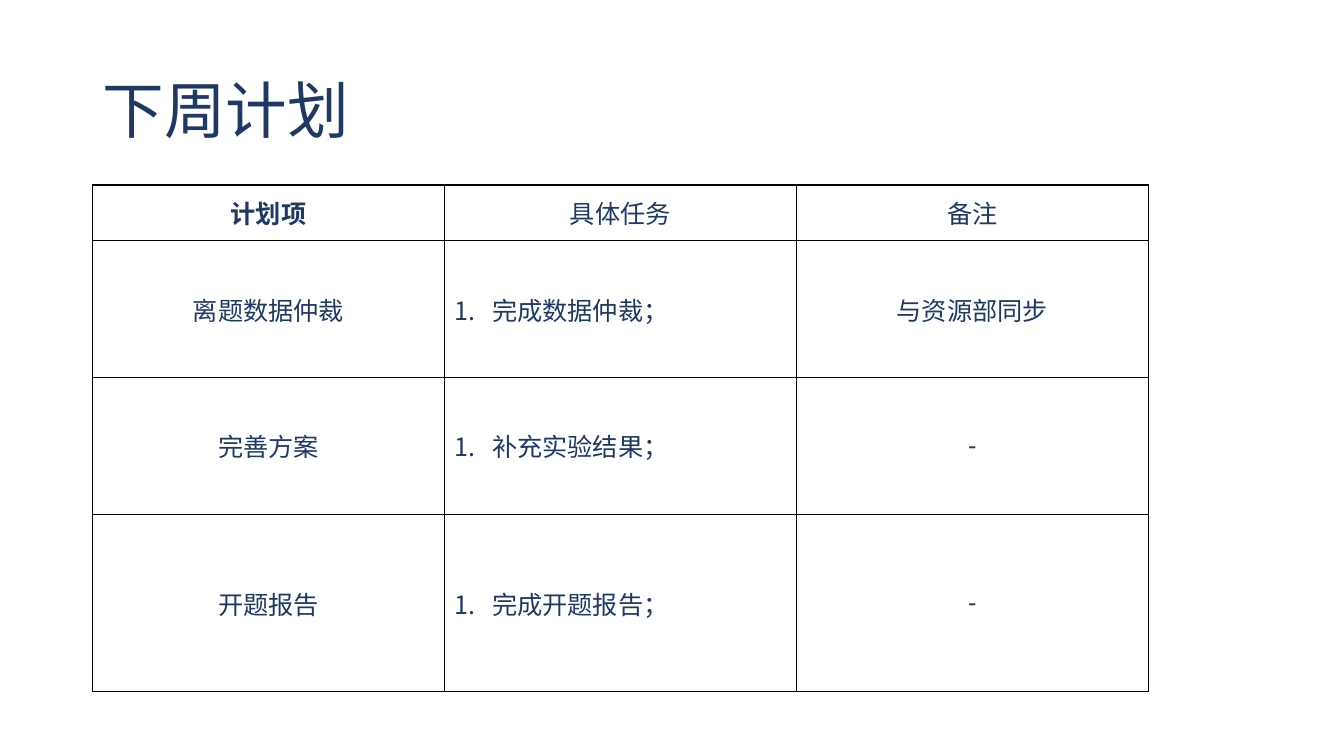
"""Build the slide with next week's plan as a table."""
from lxml import etree
from pptx import Presentation
from pptx.dml.color import RGBColor
from pptx.enum import text
from pptx.oxml import ns
from pptx.util import Cm, Pt

COLORS = {"navy": "203864", "border": "000000", "cell": "FFFFFF"}
ROWS = [
    ("计划项", "具体任务", "备注"),
    ("离题数据仲裁", "完成数据仲裁；", "与资源部同步"),
    ("完善方案", "补充实验结果；", "-"),
    ("开题报告", "完成开题报告；", "-"),
]
ROW_HEIGHTS = [1.41, 3.44, 3.45, 4.47]
COLUMN_WIDTH = 8.87
TASK_COLUMN = 1
NUMBER_INDENT = Cm(0.95)


def style_font(font, name, size, bold=False):
    font.name = name
    font.size = Pt(size)
    font.bold = bold
    font.color.rgb = RGBColor.from_string(COLORS["navy"])


def add_borders(cell):
    properties = cell._tc.get_or_add_tcPr()
    for side in ("lnL", "lnR", "lnT", "lnB"):
        line = etree.SubElement(properties, ns.qn(f"a:{side}"), w=str(Pt(1)))
        fill = etree.SubElement(line, ns.qn("a:solidFill"))
        etree.SubElement(fill, ns.qn("a:srgbClr"), val=COLORS["border"])


deck = Presentation()
deck.slide_width, deck.slide_height = Cm(33.87), Cm(19.05)
page = deck.slides.add_slide(deck.slide_layouts[5])

title = page.shapes.title
title.left, title.top, title.width, title.height = Cm(2.33), Cm(1.01), Cm(29.21), Cm(3.68)
title.text_frame.text = "下周计划"
title.text_frame.vertical_anchor = text.MSO_ANCHOR.MIDDLE
heading = title.text_frame.paragraphs[0]
heading.alignment = text.PP_ALIGN.LEFT
heading.line_spacing = 0.9
style_font(heading.font, "Times New Roman", 44)

plan = page.shapes.add_table(
    len(ROWS), len(ROWS[0]), Cm(2.33), Cm(4.66),
    Cm(COLUMN_WIDTH * len(ROWS[0])), Cm(sum(ROW_HEIGHTS)),
).table
plan.first_row = plan.horz_banding = False
for column in plan.columns:
    column.width = Cm(COLUMN_WIDTH)

for row, (labels, height) in enumerate(zip(ROWS, ROW_HEIGHTS)):
    plan.rows[row].height = Cm(height)
    for column, label in enumerate(labels):
        cell = plan.cell(row, column)
        cell.text = label
        cell.vertical_anchor = text.MSO_ANCHOR.MIDDLE
        add_borders(cell)
        cell.fill.solid()
        cell.fill.fore_color.rgb = RGBColor.from_string(COLORS["cell"])
        para = cell.text_frame.paragraphs[0]
        style_font(para.font, "Arial", 18, bold=row == column == 0)
        if row > 0 and column == TASK_COLUMN:
            para.alignment = text.PP_ALIGN.LEFT
            settings = para._p.get_or_add_pPr()
            settings.set("marL", str(NUMBER_INDENT))
            settings.set("indent", str(-NUMBER_INDENT))
            numbering = etree.Element(ns.qn("a:buAutoNum"), type="arabicPeriod")
            settings.insert(0, numbering)
        else:
            para.alignment = text.PP_ALIGN.CENTER

deck.save("out.pptx")
